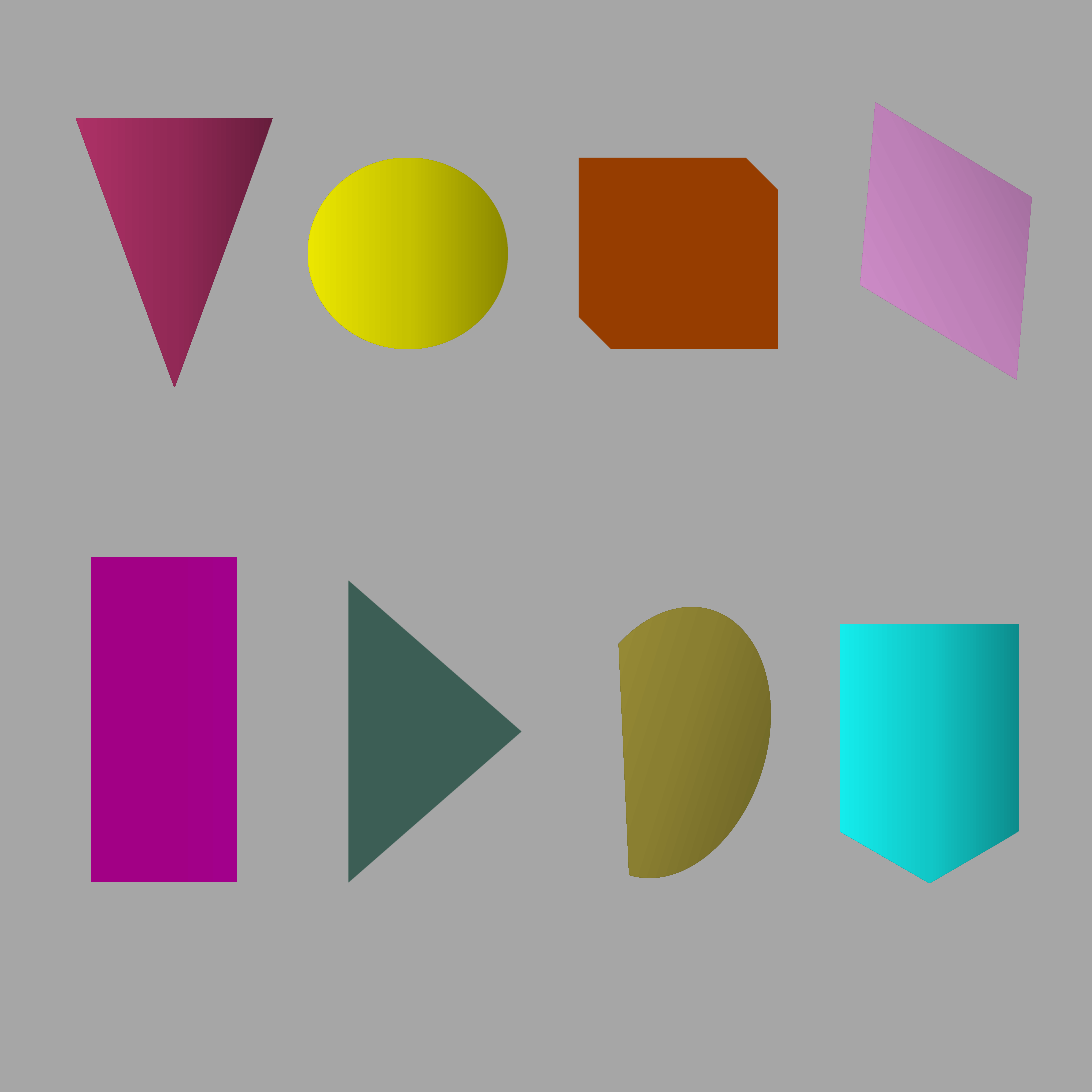
from copy import deepcopy

from pptx import Presentation
from pptx.dml.color import RGBColor
from pptx.enum.shapes import MSO_SHAPE
from pptx.oxml.ns import qn

TRIANGLE = MSO_SHAPE.FLOWCHART_MERGE
ELLIPSE = MSO_SHAPE.OVAL
SNIPPED = MSO_SHAPE.SNIP_2_DIAG_RECTANGLE
DIAMOND = MSO_SHAPE.DIAMOND
RECTANGLE = MSO_SHAPE.RECTANGLE
CHORD = MSO_SHAPE.CHORD
PENTAGON = MSO_SHAPE.FLOWCHART_OFFPAGE_CONNECTOR

SIDE = 1092
EMU_PER_PX = 7.5 * 914400 / SIDE
STOP_STEP = 0.5
BLANK_LAYOUT = 6

COLORS = {
    "background": ["A6A6A6"],
    "raspberry": ["671D3C", "922956", "AD3166"],
    "yellow": ["8B8800", "C6C200", "EBE600"],
    "rust": ["963D00"],
    "pink": ["855A81", "BD80B7", "E098D9"],
    "magenta": ["A2008B", "A20085"],
    "green": ["3C5E55"],
    "olive": ["615A22", "8A7F31", "A4973A"],
    "cyan": ["0C8C8C", "11C7C7", "14ECEC"],
}


def emu(px):
    return round(px * EMU_PER_PX)


class ShapeBoard:
    def __init__(self):
        self.deck = Presentation()
        self.deck.slide_width = self.deck.slide_height = emu(SIDE)
        self.slide = self.deck.slides.add_slide(self.deck.slide_layouts[BLANK_LAYOUT])

    def background(self, color):
        self.solid(self.slide.background.fill, color)

    def solid(self, fill, color):
        fill.solid()
        fill.fore_color.rgb = RGBColor.from_string(COLORS[color][0])

    def gradient(self, figure, color, angle):
        fill = figure.fill
        fill.gradient()
        fill.gradient_angle = angle
        stop_list = figure._element.spPr.find(".//" + qn("a:gsLst"))
        while len(stop_list) < len(COLORS[color]):
            stop_list.append(deepcopy(stop_list[0]))
        for index, (stop, shade) in enumerate(zip(fill.gradient_stops, COLORS[color])):
            stop.position = index * STOP_STEP
            stop.color.rgb = RGBColor.from_string(shade)

    def figure(self, outline, box, color, rotation=0, angle=180):
        figure = self.slide.shapes.add_shape(outline, *map(emu, box))
        figure.rotation = rotation
        figure.shadow.inherit = False
        figure.line.fill.background()
        if len(COLORS[color]) == 1:
            self.solid(figure.fill, color)
        else:
            self.gradient(figure, color, angle)


def main():
    board = ShapeBoard()
    board.background("background")
    board.figure(SNIPPED, (579, 158, 199, 191), "rust")
    board.figure(PENTAGON, (840, 624, 179, 259), "cyan")
    board.figure(TRIANGLE, (76, 118, 197, 269), "raspberry")
    board.figure(CHORD, (575, 604, 191, 277), "olive", rotation=197.3, angle=0)
    board.figure(DIAMOND, (850, 86, 192, 310), "pink", rotation=333)
    board.figure(TRIANGLE, (284, 645, 302, 173), "green", rotation=270)
    board.figure(RECTANGLE, (91, 557, 146, 325), "magenta")
    board.figure(ELLIPSE, (308, 158, 200, 191), "yellow")
    board.deck.save("out.pptx")


if __name__ == "__main__":
    main()
